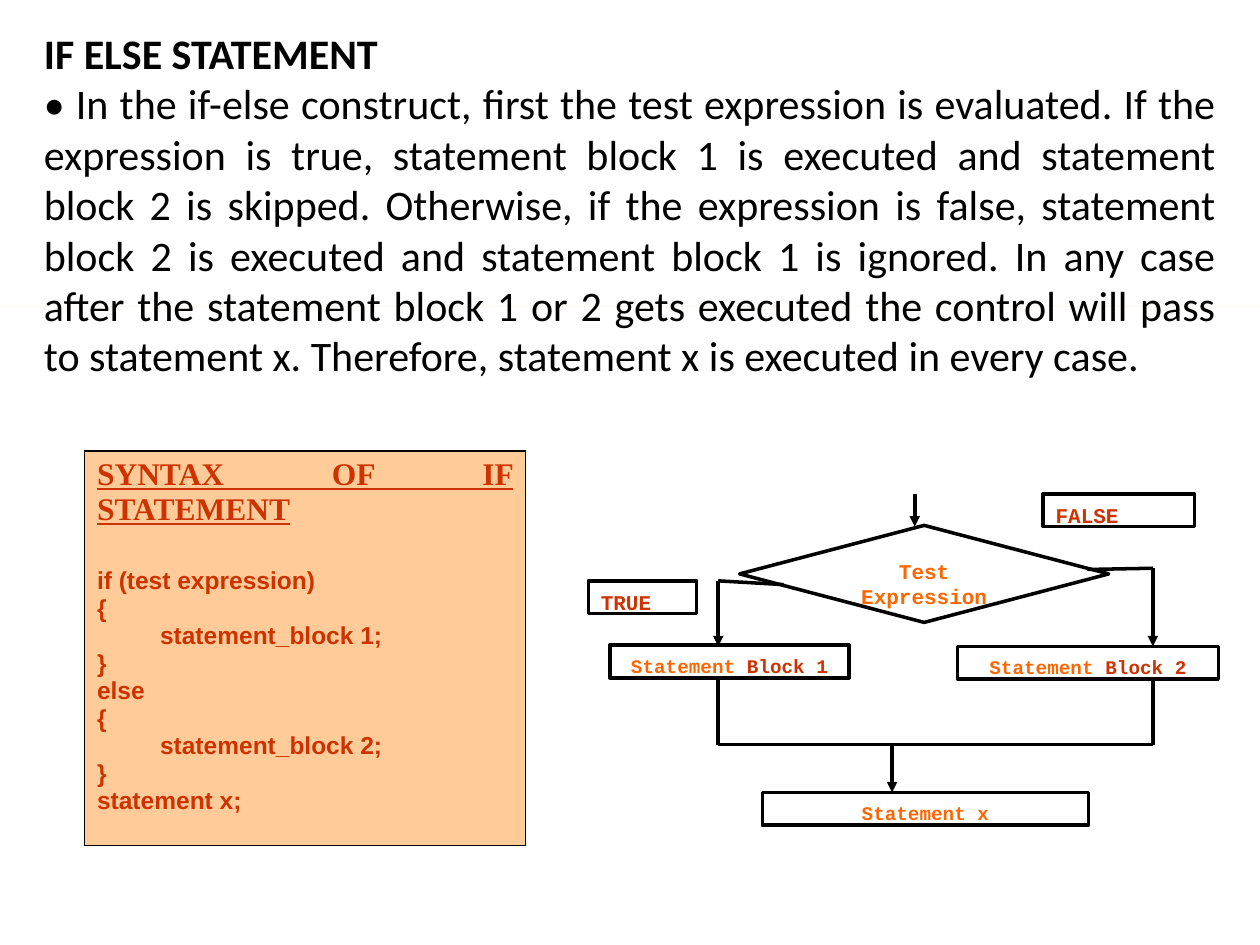
from pptx import Presentation
from pptx.dml.color import RGBColor
from pptx.enum.shapes import MSO_CONNECTOR, MSO_SHAPE
from pptx.enum.text import MSO_ANCHOR, PP_ALIGN
from pptx.oxml.ns import qn
from pptx.util import Inches, Pt
from lxml import etree

RECTANGLE, DECISION = MSO_SHAPE.RECTANGLE, MSO_SHAPE.FLOWCHART_DECISION
STRAIGHT, TOP = MSO_CONNECTOR.STRAIGHT, MSO_ANCHOR.TOP
LEFT, CENTER, JUSTIFY = PP_ALIGN.LEFT, PP_ALIGN.CENTER, PP_ALIGN.JUSTIFY

BLACK = RGBColor(0x00, 0x00, 0x00)
WHITE = RGBColor(0xFF, 0xFF, 0xFF)
PEACH = RGBColor(0xFF, 0xCC, 0x99)
ORANGE = RGBColor(0xFF, 0x66, 0x00)
RUST = RGBColor(0xCC, 0x33, 0x00)

WIDTH, HEIGHT = Inches(10), Inches(7.5)
COLUMNS, ROWS = 100, 75

TITLE = {"name": "Calibri", "size": Pt(24), "bold": True}
BODY = {**TITLE, "bold": False}
SYNTAX_HEAD = {"name": "Times New Roman", "size": Pt(18), "bold": True, "underline": True}
CODE = {"name": "Arial", "size": Pt(14), "bold": True}
LABEL = {"name": "Courier New", "size": Pt(12), "bold": True}
BLOCK = {**LABEL, "size": Pt(11)}

EXPLANATION = (
    "• In the if-else construct, first the test expression is evaluated. "
    "If the expression is true, statement block 1 is executed and statement "
    "block 2 is skipped. Otherwise, if the expression is false, statement "
    "block 2 is executed and statement block 1 is ignored. In any case after "
    "the statement block 1 or 2 gets executed the control will pass to "
    "statement x. Therefore, statement x is executed in every case."
)
SYNTAX = ["if (test expression)", "{", "\tstatement_block 1;", "}", "else",
          "{", "\tstatement_block 2;", "}", "statement x;"]

# Grid lines shared by the flowchart's boxes and arrows
TRUE_COL, MERGE_COL, FALSE_COL, ENTRY_COL = 57, 70.8, 91.5, 72.6
ENTRY_ROW, TEST_ROW, BRANCH_ROW = 39.2, 41.8, 46.1
BLOCK_ROW, MERGE_ROW, END_ROW = 51.3, 59.1, 62.9
BOX_ROWS = 2.6


def grid(*cells):
    """Turn alternating column and row positions into slide lengths."""
    steps = (WIDTH / COLUMNS, HEIGHT / ROWS)
    return [round(cell * steps[i % 2]) for i, cell in enumerate(cells)]


def add_run(paragraph, text, style, color):
    """Append a run with the given font values."""
    run = paragraph.add_run()
    run.text = text
    for attribute, value in style.items():
        setattr(run.font, attribute, value)
    run.font.color.rgb = color


def write_lines(frame, lines, color):
    """Write justified (text, style) lines and return their paragraphs."""
    for i, (text, style) in enumerate(lines):
        paragraph = frame.paragraphs[0] if i == 0 else frame.add_paragraph()
        paragraph.alignment = JUSTIFY
        add_run(paragraph, text, style, color)
    return frame.paragraphs


def add_explanation(shapes):
    """Add the hairline and the heading with its explanation."""
    hairline = shapes.add_shape(RECTANGLE, *grid(0, 24.3, COLUMNS, 0))
    hairline.shadow.inherit = False
    hairline.fill.solid()
    hairline.fill.fore_color.rgb = PEACH
    hairline.line.fill.background()
    frame = shapes.add_textbox(*grid(2.5, 1.7, 95, 29.3)).text_frame
    frame.word_wrap = True
    write_lines(frame, [("IF ELSE STATEMENT", TITLE), (EXPLANATION, BODY)], BLACK)


def add_syntax(shapes):
    """Add the one-cell syntax table with a thin black border."""
    cell = shapes.add_table(1, 1, *grid(6.7, 35.8, 35, 31.3)).table.cell(0, 0)
    lines = [("SYNTAX OF IF STATEMENT", SYNTAX_HEAD)] + [(code, CODE) for code in SYNTAX]
    paragraphs = write_lines(cell.text_frame, lines, RUST)
    paragraphs[1].space_before = Pt(23)
    properties = cell._tc.get_or_add_tcPr()
    for side in ("a:lnL", "a:lnR", "a:lnT", "a:lnB"):
        border = etree.SubElement(properties, qn(side), w=str(Pt(1)))
        fill = etree.SubElement(border, qn("a:solidFill"))
        etree.SubElement(fill, qn("a:srgbClr"), val=str(BLACK))
    cell.fill.solid()
    cell.fill.fore_color.rgb = PEACH


def add_box(shapes, kind, place, alignment, style, runs):
    """Add an outlined flowchart box with coloured runs."""
    box = shapes.add_shape(kind, *grid(*place))
    box.shadow.inherit = False
    box.fill.solid()
    box.fill.fore_color.rgb = WHITE
    box.line.color.rgb = BLACK
    box.line.width = Pt(2)
    frame = box.text_frame
    frame.word_wrap = True
    frame.vertical_anchor = TOP
    frame.margin_top = Inches(0.07)
    paragraph = frame.paragraphs[0]
    paragraph.alignment = alignment
    for text, color in runs:
        add_run(paragraph, text, style, color)


def add_line(shapes, ends, arrow):
    """Add a straight line, with an arrowhead at its end if asked."""
    line = shapes.add_connector(STRAIGHT, *grid(*ends))
    line.line.color.rgb = BLACK
    line.line.width = Pt(2)
    if arrow:
        etree.SubElement(line.line._get_or_add_ln(), qn("a:tailEnd"), type="triangle")
    etree.SubElement(line._element.spPr, qn("a:effectLst"))


def add_flowchart(shapes):
    """Add the if-else flowchart as one group."""
    chart = shapes.add_group_shape().shapes
    add_box(chart, DECISION, (58.7, TEST_ROW - 0.1, 29.3, 7.7), CENTER, LABEL,
            [("Test Expression", ORANGE)])
    for text, column, row, width in (("TRUE", 46.7, BRANCH_ROW, 8.6),
                                     ("FALSE", 82.8, ENTRY_ROW, 12)):
        add_box(chart, RECTANGLE, (column, row, width, BOX_ROWS), LEFT, LABEL,
                [(text, RUST)])
    for column, row, width, runs in (
        (48.4, BLOCK_ROW - 0.1, 19, [("Statement ", ORANGE), ("Block 1", RUST)]),
        (76, BLOCK_ROW, 20.7, [("Statement ", ORANGE), ("Block 2", RUST)]),
        (60.5, END_ROW, 25.9, [("Statement x", ORANGE)]),
    ):
        add_box(chart, RECTANGLE, (column, row, width, BOX_ROWS), CENTER, BLOCK, runs)

    false_row = 45.1
    for ends in ((ENTRY_COL, ENTRY_ROW, ENTRY_COL, TEST_ROW),
                 (TRUE_COL, BRANCH_ROW, TRUE_COL, BLOCK_ROW),
                 (FALSE_COL, false_row, FALSE_COL, BLOCK_ROW),
                 (MERGE_COL, MERGE_ROW, MERGE_COL, END_ROW)):
        add_line(chart, ends, True)
    add_line(chart, (62.2, 46.4, TRUE_COL, BRANCH_ROW), False)
    add_line(chart, (86.3, 45.2, FALSE_COL, false_row), False)
    for column in (TRUE_COL, FALSE_COL):
        add_line(chart, (column, BLOCK_ROW + BOX_ROWS, column, MERGE_ROW), False)
        add_line(chart, (MERGE_COL, MERGE_ROW, column, MERGE_ROW), False)


def main():
    """Build and save the slide."""
    deck = Presentation()
    deck.slide_width, deck.slide_height = WIDTH, HEIGHT
    shapes = deck.slides.add_slide(deck.slide_layouts[6]).shapes
    add_explanation(shapes)
    add_syntax(shapes)
    add_flowchart(shapes)
    deck.save("out.pptx")


main()
